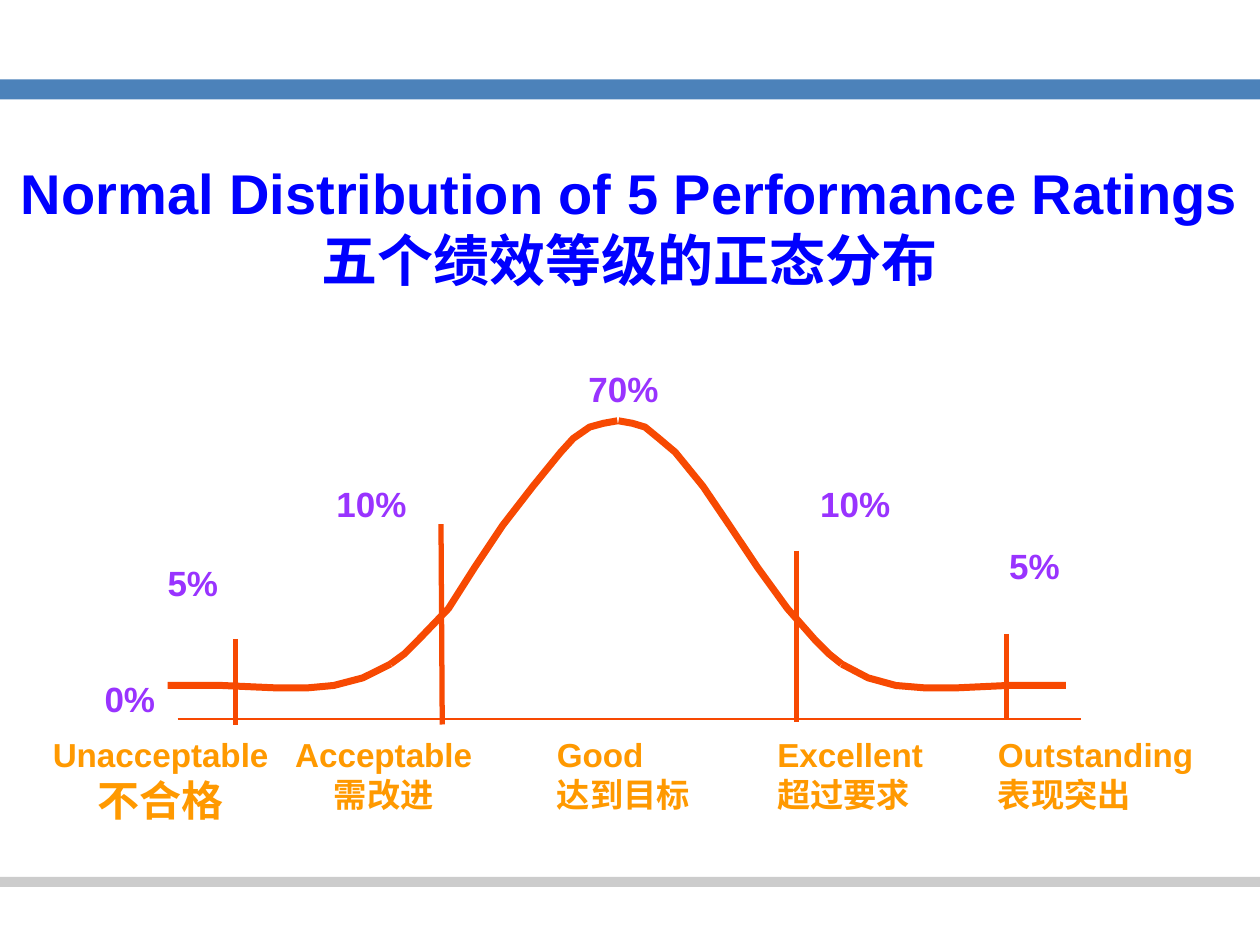
import pptx
import pptx.util
import pptx.dml.color
import pptx.enum.shapes
import pptx.enum.text
from lxml import etree
from pptx.util import Inches

ALIGN = pptx.enum.text.PP_ALIGN
ORANGE_RED, AMBER, PURPLE = "F74902", "FF9900", "9933FF"


def paint(color_format, hex_color):
    color_format.rgb = pptx.dml.color.RGBColor.from_string(hex_color)


def write(frame, lines, color, align):
    """Fill a text frame with one paragraph per (text, size, font) line."""
    for index, (text, size, font) in enumerate(lines):
        paragraph = frame.add_paragraph() if index else frame.paragraphs[0]
        paragraph.alignment = align
        run = paragraph.add_run()
        run.text = text
        run.font.size = pptx.util.Pt(size)
        run.font.name = font
        run.font.bold = True
        paint(run.font.color, color)


prs = pptx.Presentation()
prs.slide_width, prs.slide_height = Inches(10), Inches(7.5)
slide = prs.slides.add_slide(prs.slide_layouts[5])
shapes = slide.shapes

# Header and footer bands
for top, height, color in [(0.63, 0.16, "4C82BA"), (6.96, 0.08, "CCCCCC")]:
    band = shapes.add_shape(pptx.enum.shapes.MSO_SHAPE.RECTANGLE,
                            0, Inches(top), prs.slide_width, Inches(height))
    band.shadow.inherit = False
    band.fill.solid()
    paint(band.fill.fore_color, color)
    band.line.fill.background()

# Title
title = shapes.title
title.left, title.top = Inches(0), Inches(1.25)
title.width, title.height = Inches(10), Inches(1.08)
title.text_frame.auto_size = pptx.enum.text.MSO_AUTO_SIZE.NONE
title.text_frame.vertical_anchor = pptx.enum.text.MSO_ANCHOR.MIDDLE
write(title.text_frame,
      [("Normal Distribution of 5 Performance Ratings", 32, "Arial"),
       ("五个绩效等级的正态分布", 32, "Arial")], "0000FF", ALIGN.CENTER)

# Baseline and the dividers between ratings
for x1, y1, x2, y2, weight in [
    (1.41, 5.71, 8.58, 5.71, 1.13),
    (1.87, 5.07, 1.87, 5.75, 3),
    (3.5, 4.16, 3.51, 5.75, 3),
    (6.32, 4.37, 6.32, 5.73, 3),
    (7.99, 5.03, 7.99, 5.71, 3),
]:
    rule = shapes.add_connector(pptx.enum.shapes.MSO_CONNECTOR.STRAIGHT,
                                Inches(x1), Inches(y1), Inches(x2), Inches(y2))
    paint(rule.line.color, ORANGE_RED)
    rule.line.width = pptx.util.Pt(weight)
    etree.SubElement(rule.element.spPr, pptx.oxml.ns.qn("a:effectLst"))

# Bell curve: the right half repeats the left half's heights in reverse
tail_heights = [5.44, 5.44, 5.44, 5.46, 5.46, 5.44, 5.38, 5.27]
flank_heights = [5.27, 5.19, 5.08, 4.83, 4.5, 4.17, 3.86, 3.59, 3.48, 3.39, 3.36, 3.34]
curve_parts = [
    ([1.33, 1.54, 1.76, 2.21, 2.43, 2.65, 2.88, 3.1], tail_heights),
    ([3.1, 3.21, 3.32, 3.56, 3.77, 3.99, 4.23, 4.45, 4.55, 4.68, 4.79, 4.9],
     flank_heights),
    ([4.91, 5.02, 5.12, 5.23, 5.36, 5.58, 5.79, 6.01, 6.25, 6.47, 6.58, 6.68],
     flank_heights[::-1]),
    ([6.68, 6.89, 7.11, 7.35, 7.57, 8, 8.24, 8.46], tail_heights[::-1]),
]
for across, heights in curve_parts:
    points = [(Inches(x), Inches(y)) for x, y in zip(across, heights)]
    builder = shapes.build_freeform(*points[0])
    builder.add_line_segments(points[1:], close=False)
    curve = builder.convert_to_shape()
    curve.shadow.inherit = False
    curve.fill.background()
    paint(curve.line.color, ORANGE_RED)
    curve.line.width = pptx.util.Pt(4)

# Percentages along the curve and rating names below it
percentages = [("0%", 0.83, 5.38, 0.46), ("5%", 1.33, 4.46, 0.46),
               ("10%", 2.67, 3.83, 0.62), ("70%", 4.67, 2.92, 0.62),
               ("10%", 6.51, 3.83, 0.62), ("5%", 8.01, 4.32, 0.46)]
ratings = [("Unacceptable", "不合格", 24, "Times New Roman", 0.37, 1.81, 0.72, ALIGN.CENTER),
           ("Acceptable", "需改进", 19, "Arial", 2.29, 1.51, 0.63, ALIGN.CENTER),
           ("Good", "达到目标", 19, "Arial", 4.42, 1.15, 0.63, ALIGN.LEFT),
           ("Excellent", "超过要求", 19, "Arial", 6.17, 1.26, 0.63, ALIGN.LEFT),
           ("Outstanding", "表现突出", 19, "Arial", 7.92, 1.65, 0.63, ALIGN.LEFT)]
labels = [([(share, 20, "Arial")], PURPLE, ALIGN.LEFT, (left, top, width, 0.33))
          for share, left, top, width in percentages]
labels += [([(english, 19, "Arial"), (chinese, size, font)], AMBER, align,
            (left, 5.83, width, height))
           for english, chinese, size, font, left, width, height, align in ratings]
for lines, color, align, place in labels:
    frame = shapes.add_textbox(*map(Inches, place)).text_frame
    frame.margin_left = frame.margin_right = frame.margin_top = frame.margin_bottom = 0
    frame.word_wrap = True
    frame.auto_size = pptx.enum.text.MSO_AUTO_SIZE.NONE
    write(frame, lines, color, align)

prs.save("out.pptx")
